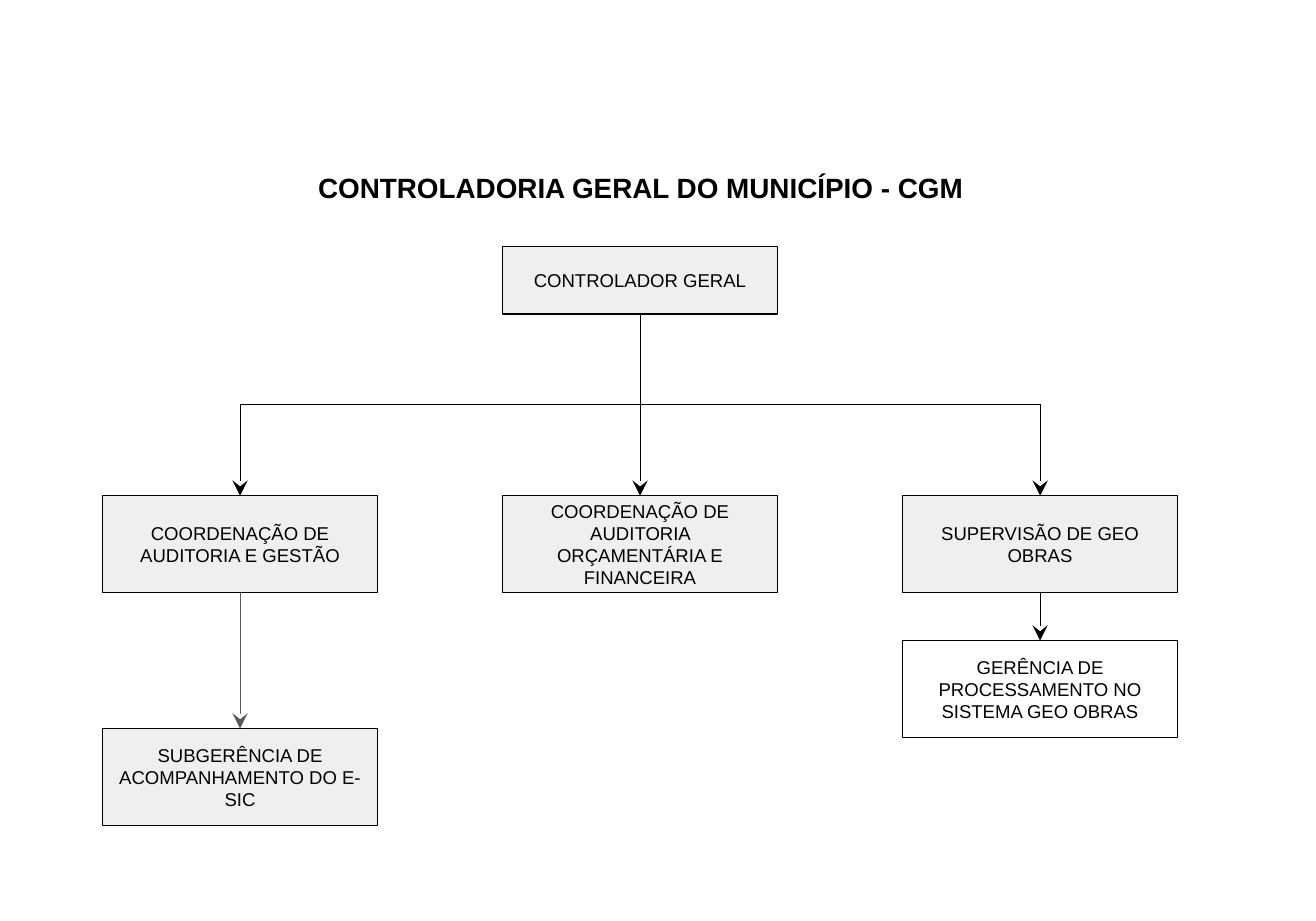
from dataclasses import dataclass
from typing import Optional

import pptx
import pptx.dml.color
import pptx.enum.shapes
import pptx.enum.text
import pptx.oxml
import pptx.oxml.ns
import pptx.util

Inches = pptx.util.Inches
COLORS = {"black": "000000", "gray": "595959", "panel": "EFEFEF"}
FONT = "Arial"
BOX_WIDTH, BOX_HEIGHT = 2.47, 0.87
FIRST_COLUMN, COLUMN_STEP = 0.92, 3.59
BOTTOM_SITE, TOP_SITE = 2, 0


@dataclass
class Unit:
    label: str
    column: int
    top: float
    height: float = BOX_HEIGHT
    fill: Optional[str] = "panel"


@dataclass
class Link:
    parent: str
    child: str
    color: str = "black"


UNITS = {
    "head": Unit("CONTROLADOR GERAL", 1, 2.21, height=0.61),
    "management": Unit("COORDENAÇÃO DE AUDITORIA E GESTÃO", 0, 4.45),
    "budget": Unit("COORDENAÇÃO DE AUDITORIA ORÇAMENTÁRIA E FINANCEIRA", 1, 4.45),
    "works": Unit("SUPERVISÃO DE GEO OBRAS", 2, 4.45),
    "esic": Unit("SUBGERÊNCIA DE ACOMPANHAMENTO DO E-SIC", 0, 6.54),
    "processing": Unit("GERÊNCIA DE PROCESSAMENTO NO SISTEMA GEO OBRAS", 2, 5.75, fill=None),
}
LINKS = [
    Link("head", "management"),
    Link("head", "works"),
    Link("head", "budget"),
    Link("works", "processing"),
    Link("management", "esic", "gray"),
]


def rgb(color: str) -> pptx.dml.color.RGBColor:
    return pptx.dml.color.RGBColor.from_string(COLORS[color])


def write_text(shape, text: str, size: int, bold: bool = False) -> None:
    frame = shape.text_frame
    frame.word_wrap = True
    frame.margin_left = frame.margin_right = Inches(0.1)
    frame.margin_top = frame.margin_bottom = Inches(0.1)
    paragraph = frame.paragraphs[0]
    paragraph.alignment = pptx.enum.text.PP_ALIGN.CENTER
    run = paragraph.add_run()
    run.text = text
    run.font.name = FONT
    run.font.size = pptx.util.Pt(size)
    run.font.bold = bold
    run.font.color.rgb = rgb("black")


def draw_unit(slide, unit: Unit):
    box = slide.shapes.add_shape(
        pptx.enum.shapes.MSO_SHAPE.RECTANGLE,
        Inches(FIRST_COLUMN + unit.column * COLUMN_STEP), Inches(unit.top),
        Inches(BOX_WIDTH), Inches(unit.height))
    box.shadow.inherit = False
    if unit.fill:
        box.fill.solid()
        box.fill.fore_color.rgb = rgb(unit.fill)
    else:
        box.fill.background()
    box.line.color.rgb = rgb("black")
    box.line.width = pptx.util.Pt(0.75)
    box.text_frame.vertical_anchor = pptx.enum.text.MSO_ANCHOR.MIDDLE
    write_text(box, unit.label, 12)
    return box


def turn_elbow(arrow) -> None:
    """Turn an elbow a quarter so that it leaves its parent downwards."""
    across = arrow.end_x - arrow.begin_x
    drop = arrow.end_y - arrow.begin_y
    middle_x = (arrow.begin_x + arrow.end_x) // 2
    middle_y = (arrow.begin_y + arrow.end_y) // 2
    side = 1 if across < 0 else -1
    arrow.begin_x = middle_x - side * drop // 2
    arrow.end_x = middle_x + side * drop // 2
    arrow.begin_y = middle_y - abs(across) // 2
    arrow.end_y = middle_y + abs(across) // 2
    frame = arrow._element.spPr.find(pptx.oxml.ns.qn("a:xfrm"))
    frame.set("rot", str((90 if side == 1 else 270) * 60000))


def draw_link(slide, link: Link, boxes: dict) -> None:
    kinds = pptx.enum.shapes.MSO_CONNECTOR
    bent = UNITS[link.parent].column != UNITS[link.child].column
    arrow = slide.shapes.add_connector(kinds.ELBOW if bent else kinds.STRAIGHT, 0, 0, 0, 0)
    arrow.begin_connect(boxes[link.parent], BOTTOM_SITE)
    arrow.end_connect(boxes[link.child], TOP_SITE)
    if bent:
        turn_elbow(arrow)
    arrow.line.color.rgb = rgb(link.color)
    arrow.line.width = pptx.util.Pt(0.75)
    namespace = pptx.oxml.ns.nsdecls("a")
    arrow.line._get_or_add_ln().append(pptx.oxml.parse_xml(
        f'<a:tailEnd {namespace} type="stealth" w="lg" len="lg"/>'))
    arrow._element.spPr.append(pptx.oxml.parse_xml(f"<a:effectLst {namespace}/>"))


def main() -> None:
    deck = pptx.Presentation()
    # Page of 30 by 21 centimetres
    deck.slide_width = Inches(30 / 2.54)
    deck.slide_height = Inches(21 / 2.54)
    slide = deck.slides.add_slide(deck.slide_layouts[6])

    # Title
    title = slide.shapes.add_textbox(Inches(0.76), Inches(1.43), Inches(9.98), Inches(0.94))
    write_text(title, "CONTROLADORIA GERAL DO MUNICÍPIO - CGM", 18, bold=True)

    # Units and the arrows between them
    boxes = {key: draw_unit(slide, unit) for key, unit in UNITS.items()}
    for link in LINKS:
        draw_link(slide, link, boxes)

    deck.save("out.pptx")


if __name__ == "__main__":
    main()
